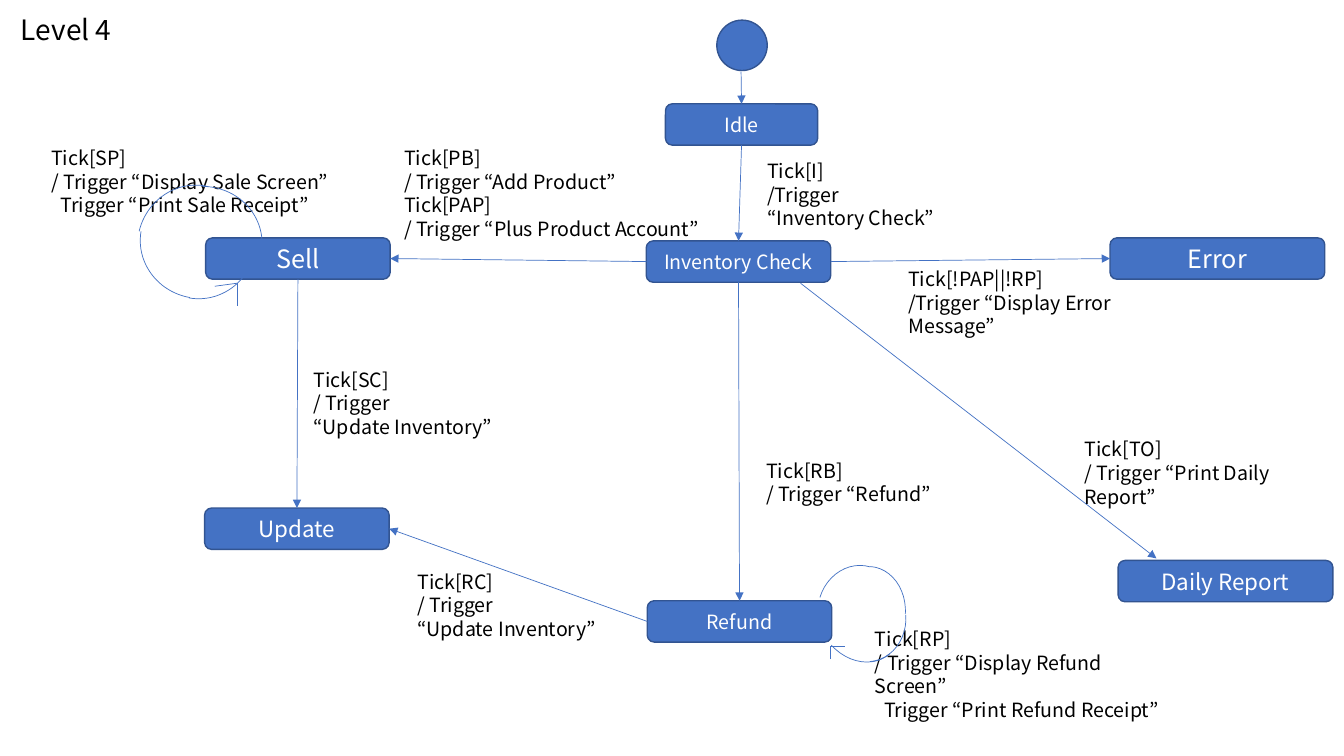
from lxml.etree import SubElement
from pptx import Presentation
from pptx.dml.color import RGBColor as RGB
from pptx.enum.shapes import MSO_CONNECTOR as Link, MSO_SHAPE as Shape
from pptx.enum.text import MSO_ANCHOR as Anchor, PP_ALIGN as Align
from pptx.oxml.ns import qn
from pptx.util import Inches, Pt

FONT = "Noto Sans CJK KR"
COLORS = {"blue": "4472C4", "edge": "325491", "ink": "000000", "white": "FFFFFF"}
TOP, LEFT, BOTTOM, RIGHT = range(4)
HIGH = 0.41

STATES = {
    "Idle": (6.6, 1.03, 1.51, 14),
    "Sell": (2.04, 2.36, 1.83, 18),
    "Refund": (6.42, 5.96, 1.83, 14),
    "Inventory Check": (6.41, 2.39, 1.83, 14),
    "Daily Report": (11.09, 5.56, 2.13, 16),
    "Error": (11.01, 2.36, 2.13, 18),
    "Update": (2.03, 5.04, 1.83, 16),
}
MOVES = [
    ("Inventory Check", LEFT, "Sell", RIGHT),
    ("Inventory Check", RIGHT, "Error", LEFT),
    ("Idle", BOTTOM, "Inventory Check", TOP),
    ("Sell", BOTTOM, "Update", TOP),
    ("Inventory Check", BOTTOM, "Refund", TOP),
    ("Refund", LEFT, "Update", RIGHT),
]
NOTES = [
    ((3.91, 1.4, 3.39, 1.04), ["Tick[PB]", "/ Trigger “Add Product”",
                               "Tick[PAP]", "/ Trigger “Plus Product Account”"]),
    ((7.5, 4.5, 1.97, 0.57), ["Tick[RB]", "/ Trigger “Refund”"]),
    ((7.51, 1.53, 2.84, 0.81), ["Tick[I]", "/Trigger", "“Inventory Check”"]),
    ((10.66, 4.29, 2.67, 0.57), ["Tick[TO]", "/ Trigger “Print Daily Report”"]),
    ((3.01, 3.6, 2.25, 0.81), ["Tick[SC]", "/ Trigger", "“Update Inventory”"]),
    ((4.04, 5.6, 2.25, 0.81), ["Tick[RC]", "/ Trigger", "“Update Inventory”"]),
    ((8.91, 2.6, 2.9, 0.81), ["Tick[!PAP||!RP]", "/Trigger “Display Error Message”"]),
    ((0.41, 1.4, 3.67, 0.81), ["Tick[SP]", "/ Trigger “Display Sale Screen”",
                               "Trigger “Print Sale Receipt”"]),
    ((8.58, 6.17, 3.16, 0.81), ["Tick[RP]", "/ Trigger “Display Refund Screen”",
                                "Trigger “Print Refund Receipt”"]),
]
SALE_ARCS = [
    (0.08, 0.04, 1.18, 1.13, 0), (0, 0.05, 1.18, 1.13, 283.4),
    (0.05, 0.02, 1.18, 1.13, 189.8), (0.05, 0, 1.18, 1.13, 100.4),
]
SALE_TIP = [(0.79, 1.03), (1.01, 1), (1.01, 1.23)]
REFUND_ARCS = [
    (0, 0.03, 0.87, 0.78, 286.9), (0.16, 0, 0.75, 0.9, 3.6),
    (0.09, 0.12, 0.87, 0.78, 85.5), (0.08, 0.08, 0.75, 0.9, 138),
]
REFUND_TIP = [(0.17, 0.92), (0.17, 0.79), (0.31, 0.79)]


def color(name):
    return RGB.from_string(COLORS[name])


def add_run(para, text, size, ink):
    run = para.add_run()
    run.text = text
    run.font.name = FONT
    run.font.size = Pt(size)
    run.font.color.rgb = color(ink)


def add_form(slide, kind, box):
    form = slide.shapes.add_shape(kind, *map(Inches, box))
    form.shadow.inherit = False
    form.fill.solid()
    form.fill.fore_color.rgb = color("blue")
    form.line.color.rgb = color("edge")
    form.line.width = Pt(1)
    return form


def add_state(slide, box, name, size):
    state = add_form(slide, Shape.ROUNDED_RECTANGLE, box)
    frame = state.text_frame
    frame.vertical_anchor = Anchor.MIDDLE
    para = frame.paragraphs[0]
    para.alignment = Align.CENTER
    add_run(para, name, size, "white")
    return state


def add_note(slide, box, lines, size=14):
    frame = slide.shapes.add_textbox(*map(Inches, box)).text_frame
    frame.word_wrap = True
    for i, line in enumerate(lines):
        para = frame.paragraphs[0] if i == 0 else frame.add_paragraph()
        if line.startswith("Trigger"):
            para._p.get_or_add_pPr().set("marL", str(Inches(0.09)))
        add_run(para, line, size, "ink")


def add_line(slide, start, end, head=False):
    line = slide.shapes.add_connector(Link.STRAIGHT, *map(Inches, (*start, *end)))
    line.line.color.rgb = color("blue")
    line.line.width = Pt(0.5)
    if head:
        SubElement(line.line._get_or_add_ln(), qn("a:tailEnd"), type="triangle")
    SubElement(line._element.spPr, qn("a:effectLst"))
    return line


def add_loop(slide, box, arcs, tip):
    left, top = box
    for x, y, wide, high, turn in arcs:
        arc = add_form(slide, Shape.ARC, (left + x, top + y, wide, high))
        arc.fill.background()
        arc.line.color.rgb = color("blue")
        arc.line.width = Pt(0.5)
        arc.rotation = turn
    ends = [(left + x, top + y) for x, y in tip]
    for start, end in zip(ends, ends[1:]):
        add_line(slide, start, end)


def add_chart_flow(slide):
    add_form(slide, Shape.OVAL, (7.11, 0.2, 0.5, 0.5))
    states = {
        name: add_state(slide, (x, y, wide, HIGH), name, size)
        for name, (x, y, wide, size) in STATES.items()
    }
    start = add_line(slide, (7.35, 0.71), (7.35, 1.03), True)
    start.end_connect(states["Idle"], TOP)
    for source, out, target, into in MOVES:
        move = add_line(slide, (0, 0), (1, 1), True)
        move.begin_connect(states[source], out)
        move.end_connect(states[target], into)
    add_line(slide, (7.94, 2.81), (11.47, 5.54), True)


def main():
    deck = Presentation()
    deck.slide_width, deck.slide_height = Inches(13.33), Inches(7.5)
    slide = deck.slides.add_slide(deck.slide_layouts[6])
    add_note(slide, (0.11, 0.08, 1.3, 0.44), ["Level 4"], 20)
    add_chart_flow(slide)
    for box, lines in NOTES:
        add_note(slide, box, lines)
    add_loop(slide, (8.07, 5.62), REFUND_ARCS, REFUND_TIP)
    add_loop(slide, (1.34, 1.81), SALE_ARCS, SALE_TIP)
    deck.save("out.pptx")


if __name__ == "__main__":
    main()
